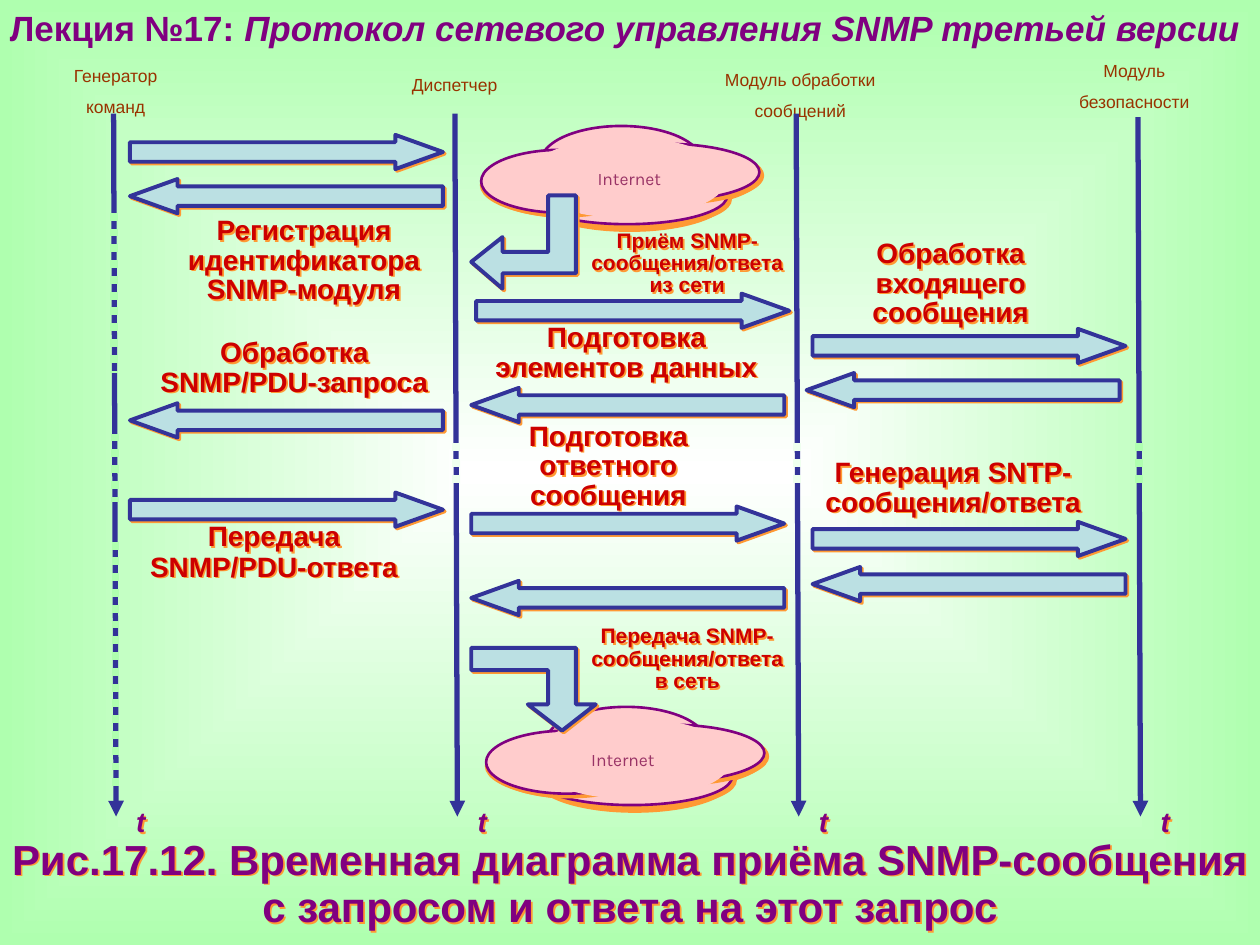
import dataclasses

import lxml.etree
import pptx
import pptx.dml.color
import pptx.enum.dml
import pptx.enum.shapes
import pptx.enum.text
import pptx.oxml.ns
import pptx.util

Cm = pptx.util.Cm
Pt = pptx.util.Pt
Shapes = pptx.enum.shapes.MSO_SHAPE
Anchor = pptx.enum.text.MSO_ANCHOR
qn = pptx.oxml.ns.qn


def rgb(value):
    return pptx.dml.color.RGBColor.from_string(value)


@dataclasses.dataclass(frozen=True)
class Theme:
    font: str = "Arial"
    cloud_font: str = "Karla"
    center: str = "FFFFFF"
    edge: str = "AFFFAF"
    pale: str = "EFFFEF"
    purple: str = "800080"
    red: str = "CC0000"
    brown: str = "993300"
    plum: str = "993366"
    pink: str = "FFCCCC"
    grey: str = "969696"
    orange: str = "FF9933"
    blue: str = "333399"
    arrow: str = "BBE0E3"
    title: int = 20
    caption: int = 24
    label: int = 16
    note: int = 12
    small: int = 10


class Diagram:
    def __init__(self, prs, theme):
        self.theme = theme
        self.s = prs.slides.add_slide(prs.slide_layouts[5])

    def background(self):
        fill = self.s.background.fill
        fill.gradient()
        for stop, color in zip(fill.gradient_stops, (self.theme.center, self.theme.edge)):
            stop.color.rgb = rgb(color)
        grad = self.s._element.find(".//" + qn("a:gradFill"))
        grad.remove(grad.find(qn("a:lin")))
        route = lxml.etree.SubElement(grad, qn("a:path"), path="shape")
        lxml.etree.SubElement(route, qn("a:fillToRect"), l="50000", t="50000", r="50000", b="50000")

    def effects(self, sp, distance=0):
        effects = lxml.etree.SubElement(sp._element.spPr, qn("a:effectLst"))
        if distance:
            shadow = lxml.etree.SubElement(
                effects, qn("a:outerShdw"), dist=str(Pt(distance)),
                dir="2700000", algn="ctr", rotWithShape="0")
            lxml.etree.SubElement(shadow, qn("a:srgbClr"), val=self.theme.orange)

    def paint(self, sp, fill, line, width, shadow=0):
        sp.fill.solid()
        sp.fill.fore_color.rgb = rgb(fill)
        if line:
            sp.line.color.rgb = rgb(line)
            sp.line.width = Pt(width)
        else:
            sp.line.fill.background()
        self.effects(sp, shadow)

    def format_run(self, r, size, color, bold=False, italic=False, font=None):
        r.font.name = font or self.theme.font
        r.font.size = Pt(size)
        r.font.color.rgb = rgb(color)
        r.font.bold = bold
        r.font.italic = italic

    def title(self, prefix, topic):
        sp = self.s.shapes.title
        sp.left, sp.top, sp.width, sp.height = Cm(0), Cm(0), Cm(25.2), Cm(1.09)
        tf = sp.text_frame
        tf.auto_size = pptx.enum.text.MSO_AUTO_SIZE.NONE
        tf.vertical_anchor = Anchor.MIDDLE
        tf.margin_left = tf.margin_right = Cm(0.05)
        p = tf.paragraphs[0]
        p.alignment = pptx.enum.text.PP_ALIGN.CENTER
        for text, italic in ((prefix, False), (topic, True)):
            r = p.add_run()
            r.text = text
            self.format_run(r, self.theme.title, self.theme.purple, True, italic)

    def text(self, box, text, size, color, wrap=True, anchor=Anchor.TOP,
             spacing=None, before=0, **style):
        sp = self.s.shapes.add_textbox(*map(Cm, box))
        tf = sp.text_frame
        tf.text = text
        tf.word_wrap = wrap
        tf.vertical_anchor = anchor
        for p in tf.paragraphs:
            p.alignment = pptx.enum.text.PP_ALIGN.CENTER
            p.line_spacing = spacing
            p.space_before = Pt(before)
            for r in p.runs:
                self.format_run(r, size, color, **style)
        return sp

    def header(self, box, text):
        self.text(box, text, self.theme.small, self.theme.brown, wrap=False, before=5.75)

    def label(self, box, text, size=None, color=None, spacing=0.88, anchor=Anchor.MIDDLE, italic=False):
        sp = self.text(box, text, size or self.theme.label, color or self.theme.red,
                       anchor=anchor, spacing=spacing, bold=True, italic=italic)
        tf = sp.text_frame
        tf.margin_left = tf.margin_right = tf.margin_top = tf.margin_bottom = 0
        self.effects(sp, 1.4)

    def cloud(self, left, top, label_left):
        t = self.theme
        for x, y, w, h, fill, line, shadow in (
            (0, 0.53, 4.04, 1.32, t.grey, t.orange, 0),
            (1.04, 0.84, 3.91, 1.27, t.orange, t.orange, 0),
            (1.83, 0.43, 3.78, 1.19, t.grey, t.orange, 0),
            (1.2, 0, 3.25, 1.45, t.pink, t.purple, 0),
            (0.92, 0.84, 4.04, 1.14, t.pink, t.purple, 2.8),
            (0, 0.48, 3.25, 1.27, t.pink, t.purple, 2.8),
            (1.83, 0.36, 3.78, 1.14, t.pink, t.purple, 2.8),
            (0.92, 0.23, 4.04, 1.63, t.pink, None, 0),
        ):
            sp = self.s.shapes.add_shape(Shapes.OVAL, Cm(left + x), Cm(top + y), Cm(w), Cm(h))
            self.paint(sp, fill, line, 1.5, shadow)
        self.text((label_left, top + 0.72, 2.97, 0.58), "Internet", t.small, t.plum,
                  wrap=False, font=t.cloud_font)

    def arrow(self, left, top, kind):
        sp = self.s.shapes.add_shape(kind, Cm(left), Cm(top), Cm(6.31), Cm(0.69))
        sp.adjustments[0], sp.adjustments[1] = 0.57, 1.39
        self.paint(sp, self.theme.arrow, self.theme.blue, 2.25, 1.4)

    def bent_arrow(self, points):
        start, *rest = [(Cm(x), Cm(y)) for x, y in points]
        builder = self.s.shapes.build_freeform(*start)
        builder.add_line_segments(rest, close=True)
        self.paint(builder.convert_to_shape(), self.theme.arrow, self.theme.blue, 2.25, 1.4)

    def line(self, start, end, color, width):
        sp = self.s.shapes.add_connector(
            pptx.enum.shapes.MSO_CONNECTOR.STRAIGHT, *map(Cm, start + end))
        sp.line.color.rgb = rgb(color)
        sp.line.width = Pt(width)
        self.effects(sp)
        return sp

    def lifeline(self, left, top, gaps, gap_color):
        bottom = 16.46
        sp = self.line((left, top), (left + 0.05, bottom), self.theme.blue, 3)
        lxml.etree.SubElement(sp.line._get_or_add_ln(), qn("a:tailEnd"), type="triangle")
        for y1, y2 in gaps:
            x = left + 0.05 * ((y1 + y2) / 2 - top) / (bottom - top)
            gap = self.line((x, y1), (x, y2), gap_color, 4.5)
            gap.line.dash_style = pptx.enum.dml.MSO_LINE.ROUND_DOT
        self.label((left + 0.05, 16.31, 1, 0.58), "t", color=self.theme.purple,
                   anchor=Anchor.TOP, italic=True)


def main():
    prs = pptx.Presentation()
    prs.slide_width, prs.slide_height = Cm(25.4), Cm(19.05)
    t = Theme()
    d = Diagram(prs, t)
    d.background()
    d.title("Лекция №17: ", "Протокол сетевого управления SNMP третьей версии")
    d.cloud(9.7, 2.54, 11.2)
    d.cloud(9.8, 14.25, 11.07)

    right, left = Shapes.RIGHT_ARROW, Shapes.LEFT_ARROW
    for x, y, kind in (
        (2.62, 2.72, right), (2.62, 3.61, left), (9.6, 5.92, right),
        (16.38, 6.63, right), (16.26, 7.52, left), (9.5, 7.82, left),
        (2.62, 8.13, left), (2.62, 9.93, right), (9.5, 10.21, right),
        (16.38, 10.52, right), (16.38, 11.43, left), (9.5, 11.71, left),
    ):
        d.arrow(x, y, kind)
    d.bent_arrow(((9.5, 5.28), (10.13, 4.78), (10.13, 5.08), (11.05, 5.08), (11.05, 3.94),
                  (11.61, 3.94), (11.61, 5.51), (10.13, 5.51), (10.13, 5.82)))
    d.bent_arrow(((11.33, 14.73), (10.64, 14.2), (11.05, 14.2), (11.05, 13.51), (9.5, 13.51),
                  (9.5, 13.06), (11.61, 13.06), (11.61, 14.2), (12.01, 14.2)))

    d.header((0.59, 1.19, 3.48, 1.02), "Генератор\nкоманд")
    d.header((7.59, 1.37, 3.15, 0.69), "Диспетчер")
    d.header((13.97, 1.27, 4.32, 0.91), "Модуль обработки\nсообщений")
    d.header((20.96, 1.09, 3.81, 1.09), "Модуль\nбезопасности")

    pause = ((8.94, 9.78),)
    d.lifeline(9.17, 2.29, pause, t.pale)
    d.lifeline(16.05, 2.29, pause, t.pale)
    d.lifeline(22.94, 2.36, pause, t.edge)
    d.lifeline(2.29, 2.29, ((8.74, 10.11), (4.29, 7.52), (10.92, 15.88)), t.edge)

    for box, text in (
        ((3.45, 4.37, 5.36, 1.8), "Регистрация идентификатора SNMP-модуля"),
        ((9.58, 6.53, 6.1, 1.19), "Подготовка элементов данных"),
        ((16.51, 4.83, 5.31, 1.8), "Обработка входящего сообщения"),
        ((3.05, 6.83, 5.77, 1.19), "Обработка SNMP/PDU-запроса"),
        ((9.75, 8.51, 5.03, 1.8), "Подготовка ответного сообщения"),
        ((16.56, 9.25, 5.31, 1.19), "Генерация SNTP-сообщения/ответа"),
    ):
        d.label(box, text)
    d.label((2.87, 10.54, 5.31, 1.19), "Передача\nSNMP/PDU-ответа", spacing=0.9, anchor=Anchor.TOP)
    d.label((11.86, 4.65, 3.99, 1.35), "Приём SNMP-сообщения/ответа из сети", t.note)
    d.label((11.86, 12.62, 3.99, 1.35), "Передача SNMP-сообщения/ответа в сеть", t.note)
    d.label((0, 16.87, 25.4, 1.93),
            "Рис.17.12. Временная диаграмма приёма SNMP-сообщения с запросом и ответа на этот запрос",
            t.caption, t.purple, 0.95)
    prs.save("out.pptx")


if __name__ == "__main__":
    main()
